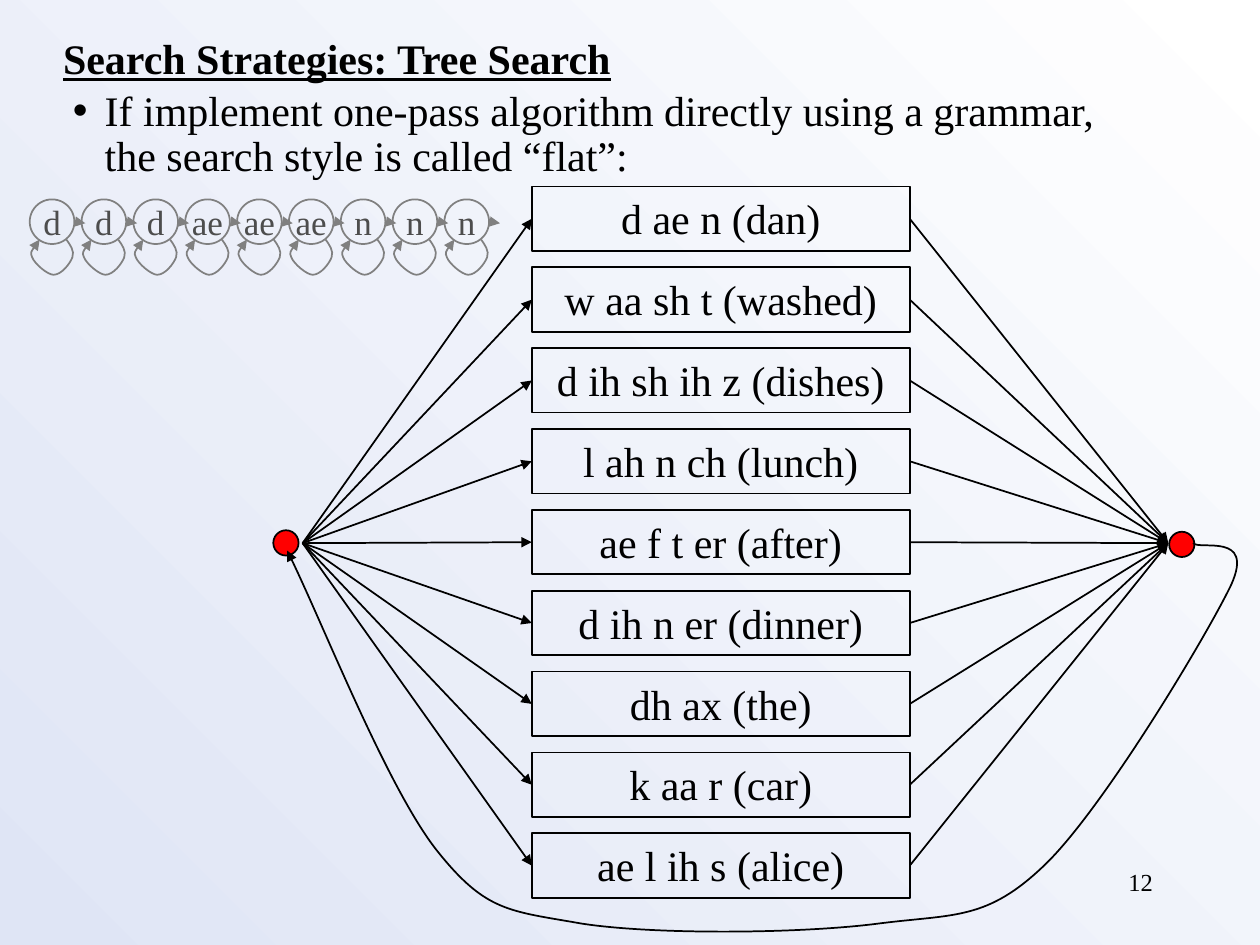
from dataclasses import dataclass
from typing import NamedTuple

from lxml.etree import SubElement
from pptx import Presentation
from pptx.dml.color import RGBColor
from pptx.enum.shapes import MSO_CONNECTOR, MSO_SHAPE
from pptx.enum.text import MSO_ANCHOR, MSO_AUTO_SIZE, PP_ALIGN
from pptx.oxml.ns import qn
from pptx.util import Cm, Pt


@dataclass(frozen=True)
class Theme:
    font: str = "Times New Roman"
    ink: RGBColor = RGBColor(0x00, 0x00, 0x00)
    state_ink: RGBColor = RGBColor(0x4D, 0x4D, 0x4D)
    state_line: RGBColor = RGBColor(0x80, 0x80, 0x80)
    node: RGBColor = RGBColor(0xFF, 0x00, 0x00)
    bg_top: RGBColor = RGBColor(0xFF, 0xFF, 0xFF)
    bg_bottom: RGBColor = RGBColor(0xDF, 0xE5, 0xF5)
    text: Pt = Pt(24)
    state: Pt = Pt(20)
    number: Pt = Pt(14)
    line: Pt = Pt(1)


class Point(NamedTuple):
    x: float
    y: float


class Box(NamedTuple):
    """Left, top, width and height in centimetres."""
    x: float
    y: float
    w: float
    h: float


THEME = Theme()
INSET = {"margin_left": Cm(0.25), "margin_right": Cm(0.25),
         "margin_top": Cm(0.13), "margin_bottom": Cm(0.13),
         "vertical_anchor": MSO_ANCHOR.TOP}
FITTED = INSET | {"word_wrap": False, "auto_size": MSO_AUTO_SIZE.SHAPE_TO_FIT_TEXT}
WRAPPED = INSET | {"word_wrap": True}
STATE_FRAME = {"margin_left": 0, "margin_right": 0, "margin_top": 0, "margin_bottom": 0,
               "vertical_anchor": MSO_ANCHOR.MIDDLE, "word_wrap": False}

WORDS = ["d ae n (dan)", "w aa sh t (washed)", "d ih sh ih z (dishes)",
         "l ah n ch (lunch)", "ae f t er (after)", "d ih n er (dinner)",
         "dh ax (the)", "k aa r (car)", "ae l ih s (alice)"]
FIRST_WORD, WORD_PITCH = Box(10.72, 3.76, 7.62, 1.3), 1.63
FAN_OUT, FAN_IN = Point(6.1, 10.95), Point(23.55, 10.95)
NODES = [Box(5.51, 10.69, 0.51, 0.51), Box(23.57, 10.72, 0.51, 0.51)]

STATES = ["d"] * 3 + ["ae"] * 3 + ["n"] * 3
FIRST_STATE, STATE_PITCH = Box(0.6, 4.02, 0.9, 0.9), 1.045

# Bézier points: a start, then two controls and an end for each segment
SELF_LOOP = [Point(0.74, 0.81),
             Point(0.81, 0.91), Point(0.91, 1.04), Point(0.86, 1.17),
             Point(0.81, 1.3), Point(0.64, 1.52), Point(0.48, 1.52),
             Point(0.36, 1.52), Point(0.1, 1.3), Point(0.05, 1.17),
             Point(0, 1.07), Point(0.1, 0.94), Point(0.2, 0.81)]
RETURN_PATH = [Point(24.05, 10.95),
               Point(24.18, 11.1), Point(25.3, 10.72), Point(24.82, 11.79),
               Point(24.31, 12.85), Point(22.25, 16.28), Point(21.08, 17.42),
               Point(19.89, 18.57), Point(19.25, 18.42), Point(17.7, 18.62),
               Point(16.15, 18.82), Point(13.23, 18.85), Point(11.73, 18.62),
               Point(10.26, 18.36), Point(9.8, 18.39), Point(8.81, 17.15),
               Point(7.82, 15.9), Point(6.43, 12.37), Point(5.79, 11.1)]


def apply(target, formats: dict) -> None:
    for name, value in formats.items():
        setattr(target, name, value)


def write(sp, text: str, size: Pt, frame: dict, align=PP_ALIGN.LEFT,
          color: RGBColor = THEME.ink, **font):
    """Fill a shape with one paragraph; a line feed becomes a line break."""
    tf = sp.text_frame
    apply(tf, frame)
    p = tf.paragraphs[0]
    apply(p, {"alignment": align, "space_before": Pt(0)})
    for i, line in enumerate(text.split("\n")):
        if i:
            p.add_line_break()
        r = p.add_run()
        r.text = line
        apply(r.font, {"name": THEME.font, "size": size} | font)
        r.font.color.rgb = color
    return p


def place(sp, box: Box) -> None:
    apply(sp, dict(zip(("left", "top", "width", "height"), map(Cm, box))))


def outline(sp, color: RGBColor) -> None:
    sp.line.color.rgb = color
    sp.line.width = THEME.line


def add_arrowhead(sp) -> None:
    SubElement(sp.line._get_or_add_ln(), qn("a:tailEnd"), type="triangle")


def add_preset(shapes, kind, box: Box, line: RGBColor, fill=None):
    s = shapes.add_shape(kind, *map(Cm, box))
    s.shadow.inherit = False
    if fill is None:
        s.fill.background()
    else:
        s.fill.solid()
        s.fill.fore_color.rgb = fill
    outline(s, line)
    return s


def add_arrow(shapes, start: Point, end: Point, color: RGBColor):
    c = shapes.add_connector(MSO_CONNECTOR.STRAIGHT, *map(Cm, (*start, *end)))
    outline(c, color)
    add_arrowhead(c)
    SubElement(c._element.spPr, qn("a:effectLst"))
    return c


def add_curve(shapes, points: list[Point], color: RGBColor) -> None:
    start, *rest = [(Cm(pt.x), Cm(pt.y)) for pt in points]
    fb = shapes.build_freeform(*start)
    fb.add_line_segments(rest, close=False)
    s = fb.convert_to_shape()
    s.shadow.inherit = False
    s.fill.background()
    outline(s, color)
    add_arrowhead(s)
    # Each run of three straight segments becomes one cubic segment
    segments = list(s._element.iter(qn("a:lnTo")))
    for i in range(0, len(segments), 3):
        cubic = SubElement(segments[i].getparent(), qn("a:cubicBezTo"))
        for segment in segments[i:i + 3]:
            cubic.append(segment[0])
            segment.getparent().remove(segment)


def add_word(shapes, index: int, text: str):
    box = FIRST_WORD._replace(y=FIRST_WORD.y + index * WORD_PITCH)
    s = add_preset(shapes, MSO_SHAPE.RECTANGLE, box, THEME.ink)
    write(s, text, THEME.text, WRAPPED, PP_ALIGN.CENTER)
    return s


def add_state(shapes, index: int, text: str) -> None:
    box = FIRST_STATE._replace(x=FIRST_STATE.x + index * STATE_PITCH)
    s = add_preset(shapes, MSO_SHAPE.OVAL, box, THEME.state_line)
    write(s, text, THEME.state, STATE_FRAME, PP_ALIGN.CENTER, THEME.state_ink)
    add_arrow(shapes, Point(box.x + 0.99, box.y + 0.46),
              Point(box.x + 1.12, box.y + 0.48), THEME.state_line)
    add_curve(shapes, [Point(box.x + pt.x, box.y + pt.y) for pt in SELF_LOOP],
              THEME.state_line)


def main() -> None:
    prs = Presentation()
    prs.slide_width, prs.slide_height = Cm(25.4), Cm(19.05)
    slide = prs.slides.add_slide(prs.slide_layouts[1])
    shapes = slide.shapes

    # Background
    fill = slide.background.fill
    fill.gradient()
    fill.gradient_angle = 225
    for stop, color in zip(fill.gradient_stops, (THEME.bg_top, THEME.bg_bottom)):
        stop.color.rgb = color

    # Title and bullet
    title, body = shapes.title, slide.placeholders[1]
    place(title, Box(1.02, 0.53, 11.66, 1.27))
    write(title, "Search Strategies: Tree Search", THEME.text, FITTED,
          bold=True, underline=True)
    place(body, Box(1.22, 1.68, 21.34, 3.02))
    p = write(body, "If implement one-pass algorithm directly using a grammar,\n"
              "the search style is called “flat”:", THEME.text, FITTED)
    p.line_spacing = 0.9
    pPr = p._p.get_or_add_pPr()
    apply_indent = {"marL": Cm(0.64), "indent": -Cm(0.64)}
    for name, value in apply_indent.items():
        pPr.set(name, str(value))
    SubElement(pPr, qn("a:buChar"), char="•")

    # Word boxes and end nodes
    words = [add_word(shapes, i, text) for i, text in enumerate(WORDS)]
    for box in NODES:
        add_preset(shapes, MSO_SHAPE.OVAL, box, THEME.ink, THEME.node)

    # Arrows fanning out to the words and back in
    for s in words:
        add_arrow(shapes, FAN_OUT, FAN_OUT, THEME.ink).end_connect(s, 1)
        add_arrow(shapes, FAN_IN, FAN_IN, THEME.ink).begin_connect(s, 3)
    add_curve(shapes, RETURN_PATH, THEME.ink)

    # State chain
    for i, text in enumerate(STATES):
        add_state(shapes, i, text)

    # Slide number
    number = shapes.add_textbox(*map(Cm, (18.21, 17.35, 5.28, 1.27)))
    write(number, "12", THEME.number, WRAPPED, PP_ALIGN.RIGHT)

    prs.save("out.pptx")


if __name__ == "__main__":
    main()
